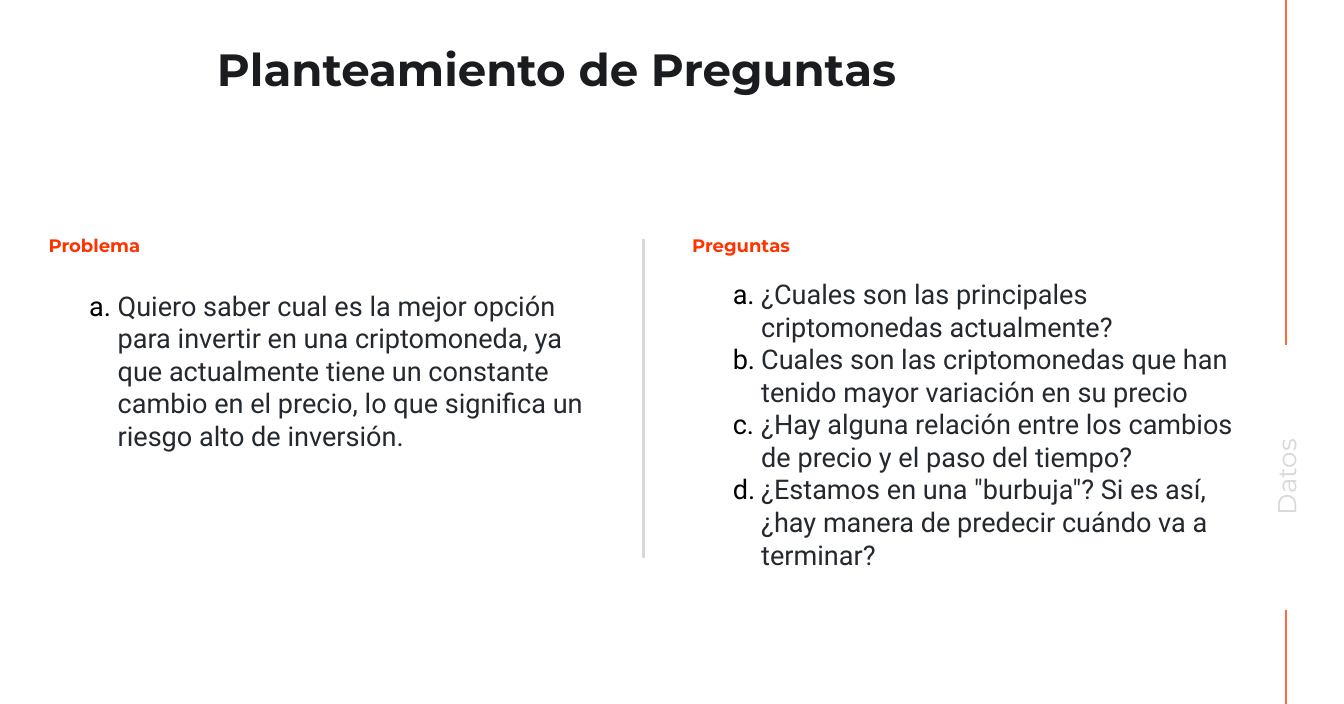
import lxml.etree
import pptx
import pptx.dml.color
import pptx.enum.shapes
import pptx.enum.text
import pptx.oxml.ns
import pptx.util

PX = 9144  # EMU per px, 100 px to the inch
SLIDE_WIDTH, SLIDE_HEIGHT = 1654, 866
ORANGE, GREY = "FF6A39", "D8D8D8"
ALIGN = pptx.enum.text.PP_ALIGN
ANCHOR = pptx.enum.text.MSO_ANCHOR

PROBLEM = [
    "Quiero saber cual es la mejor opción para invertir en una criptomoneda, "
    "ya que actualmente tiene un constante cambio en el precio, lo que "
    "significa un riesgo alto de inversión.",
]
QUESTIONS = [
    "¿Cuales son las principales criptomonedas actualmente?",
    "Cuales son las criptomonedas que han tenido mayor variación en su precio",
    "¿Hay alguna relación entre los cambios de precio y el paso del tiempo?",
    '¿Estamos en una "burbuja"? Si es así, ¿hay manera de predecir cuándo va a terminar?',
]


def px(length):
    return pptx.util.Emu(length * PX)


def color(value):
    return pptx.dml.color.RGBColor.from_string(value)


def place(shape, box):
    shape.left, shape.top, shape.width, shape.height = map(px, box)


def set_frame(shape, inset, anchor=ANCHOR.TOP):
    frame = shape.text_frame
    frame.word_wrap = True
    frame.auto_size = pptx.enum.text.MSO_AUTO_SIZE.NONE
    frame.vertical_anchor = anchor
    frame.margin_left = frame.margin_right = px(inset)
    frame.margin_top = frame.margin_bottom = px(inset)
    return frame


def add_run(paragraph, text, font, size, fill, bold=False):
    run = paragraph.add_run()
    run.text = text
    run.font.name = font
    run.font.size = pptx.util.Pt(size)
    run.font.bold = bold
    run.font.color.rgb = color(fill)


def indent(paragraph, left, first_line=0):
    properties = paragraph._p.get_or_add_pPr()
    properties.set("marL", str(left * PX))
    properties.set("indent", str(first_line * PX))
    return properties


def add_letter_bullet(paragraph):
    properties = indent(paragraph, 100, -35)
    name = pptx.oxml.ns.qn
    bullet_color = lxml.etree.SubElement(properties, name("a:buClr"))
    lxml.etree.SubElement(bullet_color, name("a:srgbClr"), val="000000")
    lxml.etree.SubElement(properties, name("a:buFont"), typeface="Roboto")
    lxml.etree.SubElement(properties, name("a:buAutoNum"), type="alphaLcPeriod")


def add_vertical_line(slide, x, top, bottom, fill, width):
    line = slide.shapes.add_connector(
        pptx.enum.shapes.MSO_CONNECTOR.STRAIGHT, px(x), px(top), px(x), px(bottom))
    line.line.color.rgb = color(fill)
    line.line.width = pptx.util.Pt(width)
    lxml.etree.SubElement(line._element.spPr, pptx.oxml.ns.qn("a:effectLst"))


def add_title(slide, box):
    title = slide.shapes.title
    place(title, box)
    paragraph = set_frame(title, 16, ANCHOR.MIDDLE).paragraphs[0]
    paragraph.alignment = ALIGN.LEFT
    add_run(paragraph, "Planteamiento de Preguntas", "Montserrat", 40, "1B1C1F", True)


def add_side_rail(slide, box):
    """Broken vertical rule with the section name turned upright."""
    left, top, width, height = box
    center = left + width // 2
    add_vertical_line(slide, center, top, top + 424, ORANGE, 1.5)
    add_vertical_line(slide, center, top + 750, top + height, ORANGE, 1.5)

    label_length = 329
    label = slide.shapes.add_textbox(0, 0, 0, 0)
    place(label, (center - label_length // 2, top + 551, label_length, width))
    label.rotation = 270
    paragraph = set_frame(label, 16).paragraphs[0]
    paragraph.alignment = ALIGN.CENTER
    add_run(paragraph, "Datos", "Montserrat", 23, GREY)


def add_column(slide, box, heading, items, gap):
    """Heading above a lettered list, with the gap between them in points."""
    column = slide.shapes.add_textbox(0, 0, 0, 0)
    place(column, box)
    frame = set_frame(column, 10)
    paragraph = frame.paragraphs[0]
    indent(paragraph, 15)
    paragraph.space_after = pptx.util.Pt(gap)
    add_run(paragraph, heading, "Montserrat", 16, "FF3300", True)
    for item in items:
        paragraph = frame.add_paragraph()
        add_letter_bullet(paragraph)
        add_run(paragraph, item, "Roboto", 24, "24292F")


def main():
    presentation = pptx.Presentation()
    presentation.slide_width = px(SLIDE_WIDTH)
    presentation.slide_height = px(SLIDE_HEIGHT)
    slide = presentation.slides.add_slide(presentation.slide_layouts[5])

    add_title(slide, (251, 45, 1008, 78))
    add_side_rail(slide, (1547, 0, 72, SLIDE_HEIGHT))

    # Two columns and their divider
    add_column(slide, (35, 279, 697, 407), "Problema", PROBLEM, 29)
    add_vertical_line(slide, 792, 294, 687, GREY, 2.25)
    add_column(slide, (827, 278, 713, 514), "Preguntas", QUESTIONS, 19.5)

    presentation.save("out.pptx")


if __name__ == "__main__":
    main()
